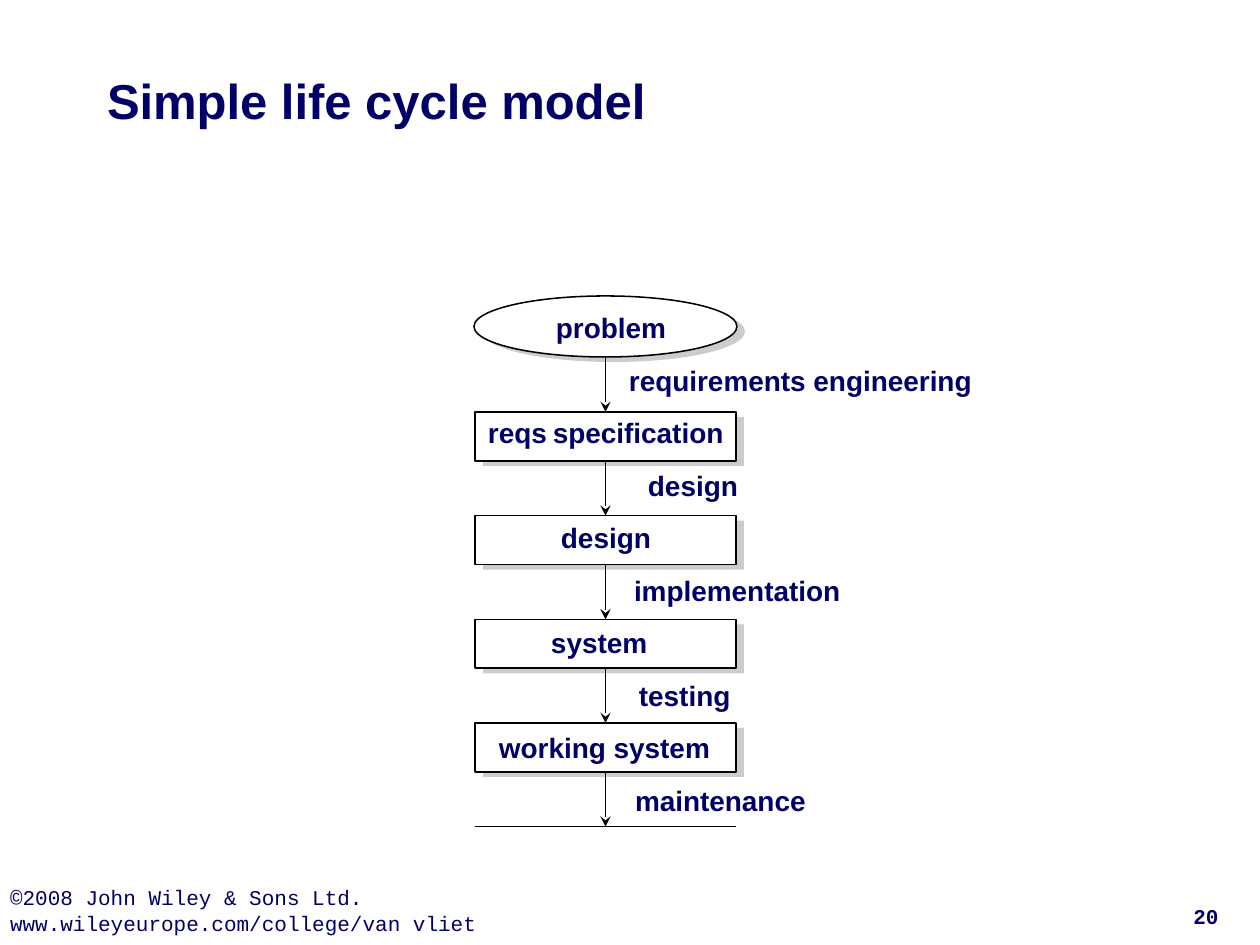
from lxml.etree import SubElement
from pptx import Presentation
from pptx.dml.color import RGBColor as Rgb
from pptx.enum.shapes import MSO_CONNECTOR as Conn, MSO_SHAPE as Kind
from pptx.enum.text import MSO_ANCHOR as Anchor, PP_ALIGN as Align
from pptx.oxml.ns import qn
from pptx.util import Pt

HUE = {"ink": "000066", "line": "000000", "face": "FFFFFF", "shade": "CCCCCC"}

# Content: stages and the steps between them, as (runs, left, width)
TITLE = "Simple life cycle model"
FOOT = ["©2008 John Wiley & Sons Ltd.", "www.wileyeurope.com/college/van vliet"]
PAGE = "20"
WORDS = [
    ("problem", 543, 150),
    ("requirements engineering", 616, 380),
    ([("reqs", 16), (" ", 12), ("specification", 16)], 475, 273),
    ("design", 635, 127),
    ("design", 548, 127),
    ("implementation", 621, 244),
    ("system", 538, 133),
    ("testing", 626, 128),
    ("working system", 486, 248),
    ("maintenance", 622, 207),
]

# Layout in px, 126 to the inch
OVAL = (474, 296, 263, 61)
LEFT, TOP, WIDE, HIGH = 475, 412, 261, 49
STEP, COUNT = 311 / 3, 4
END = TOP + COUNT * STEP
MID = LEFT + WIDE / 2
DROP = (8, 5)


def px(n):
    return round(n * 914400 / 126)


def color(name):
    return Rgb.from_string(HUE[name])


def write(shape, lines, size=16, font="Arial", bold=True, align=Align.LEFT,
          anchor=Anchor.TOP, pad=(13, 6), gap=0):
    frame = shape.text_frame
    frame.word_wrap, frame.vertical_anchor = True, anchor
    frame.margin_left = frame.margin_right = px(pad[0])
    frame.margin_top = frame.margin_bottom = px(pad[1])
    for i, line in enumerate(lines):
        para = frame.add_paragraph() if i else frame.paragraphs[0]
        para.alignment = align
        para.space_before = Pt(gap if i else 0)
        for text, pts in [(line, size)] if isinstance(line, str) else line:
            run = para.add_run()
            run.text = text
            run.font.size, run.font.name, run.font.bold = Pt(pts), font, bold
            run.font.color.rgb = color("ink")


def area(x, y, w, h):
    return slide.shapes.add_textbox(px(x), px(y), px(w), px(h))


def block(kind, x, y, w, h):
    """Draw a grey drop block, then the outlined face, and return the face."""
    for dx, dy, fill in ((*DROP, "shade"), (0, 0, "face")):
        shape = slide.shapes.add_shape(kind, px(x + dx), px(y + dy), px(w), px(h))
        shape.shadow.inherit = False
        shape.fill.solid()
        shape.fill.fore_color.rgb = color(fill)
        shape.line.fill.background()
    shape.line.color.rgb = color("line")
    shape.line.width = Pt(0.88)
    return shape


def rule(x1, y1, x2, y2, arrow=False):
    line = slide.shapes.add_connector(Conn.STRAIGHT, px(x1), px(y1), px(x2), px(y2))
    line.line.color.rgb = color("line")
    line.line.width = Pt(0.88)
    if arrow:
        SubElement(line.line._get_or_add_ln(), qn("a:tailEnd"),
                   type="stealth", w="med", len="med")
    SubElement(line._element.spPr, qn("a:effectLst"))
    return line


deck = Presentation()
deck.slide_width, deck.slide_height = px(1260), px(945)
slide = deck.slides.add_slide(deck.slide_layouts[5])

# Title
title = slide.shapes.title
title.left, title.top, title.width, title.height = px(94), px(21), px(1071), px(158)
write(title, [TITLE], size=28, anchor=Anchor.MIDDLE)

# Footer and page number
write(area(0, 874, 774, 71), FOOT, size=12, font="Courier New", bold=False,
      pad=(10, 10), gap=0.8)
write(area(1156, 899, 100, 30), [PAGE], size=12, font="Courier New",
      align=Align.CENTER, anchor=Anchor.BOTTOM, pad=(0, 0))

# Stages
block(Kind.OVAL, *OVAL)
boxes = [block(Kind.RECTANGLE, LEFT, TOP + i * STEP, WIDE, HIGH) for i in range(COUNT)]

# Arrows from each stage to the next, then the closing line
for i in range(COUNT + 1):
    y = TOP + i * STEP
    start = y - STEP + HIGH if i else OVAL[1] + OVAL[3]
    arrow = rule(MID, start, MID, y, arrow=True)
    if i:
        arrow.begin_connect(boxes[i - 1], 2)
    if i < COUNT:
        arrow.end_connect(boxes[i], 0)
rule(LEFT + WIDE, END, LEFT, END)

# Stage names and step names, alternating down the chart
for i, (text, x, w) in enumerate(WORDS):
    write(area(x, 305 + 52.5 * i, w, 47), [text])

deck.save("out.pptx")
